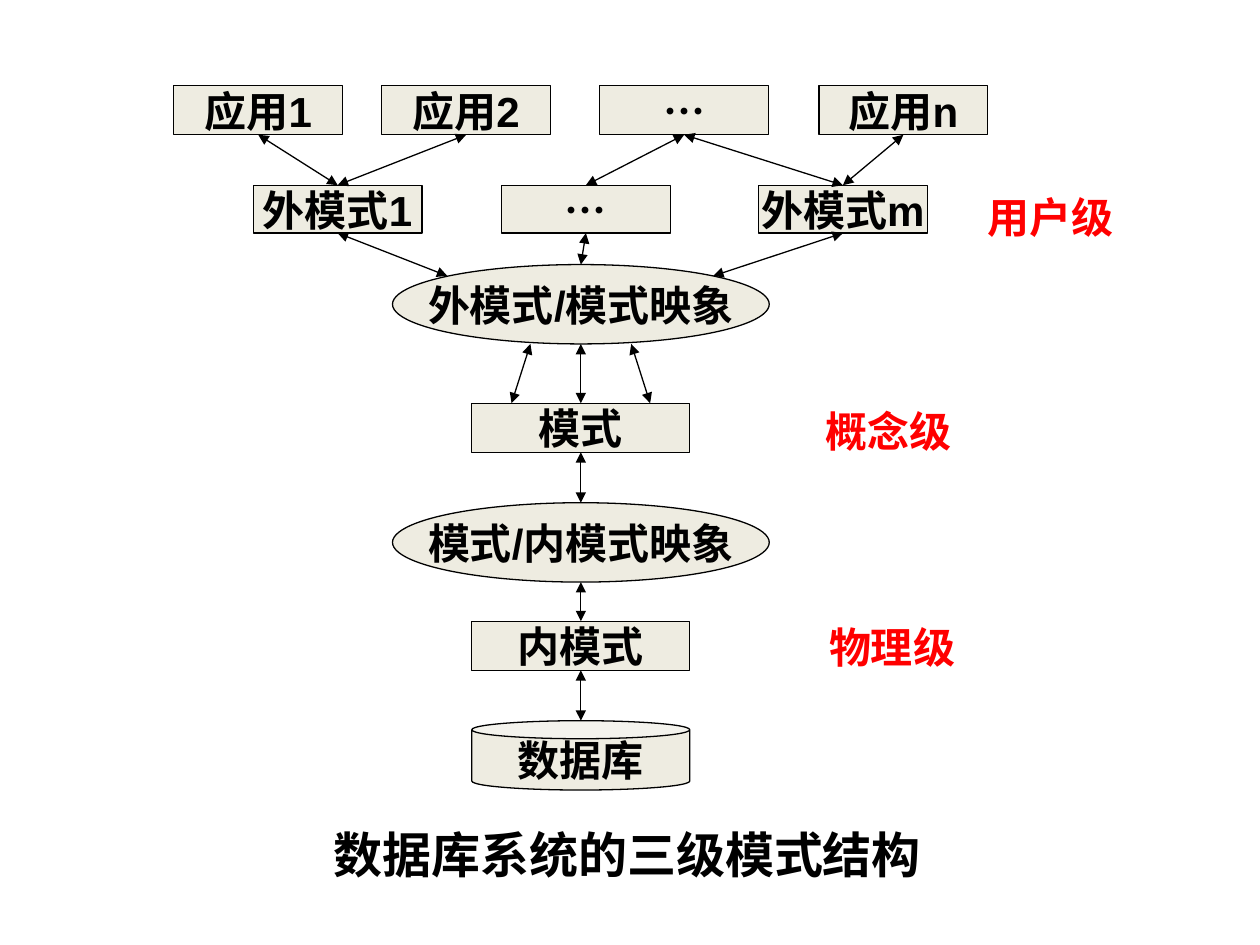
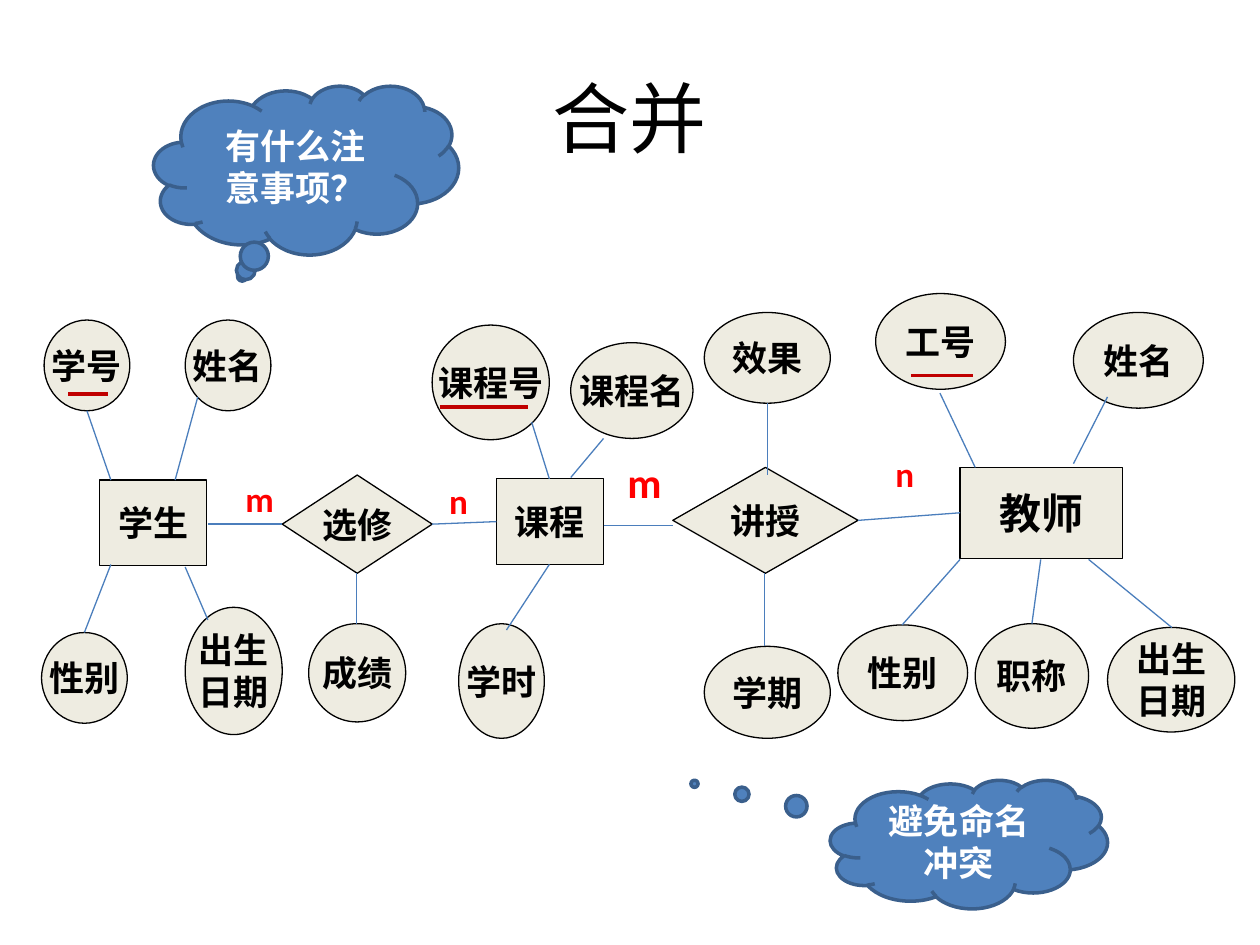
from dataclasses import dataclass
from typing import NamedTuple

from lxml.etree import SubElement
from pptx import Presentation
from pptx.dml.color import RGBColor
from pptx.enum.shapes import MSO_CONNECTOR, MSO_SHAPE as Shp
from pptx.enum.text import MSO_ANCHOR as Anchor, PP_ALIGN as Align
from pptx.oxml.ns import qn
from pptx.slide import Slide
from pptx.util import Inches, Pt


@dataclass(frozen=True)
class Theme:
    ink: str = "000000"
    paper: str = "EEECE1"
    red: str = "FF0000"
    key: str = "C00000"
    link: str = "4B7EBC"
    cloud: str = "4F81BD"
    cloud_edge: str = "3A5F8C"
    white: str = "FFFFFF"
    latin: str = "Arial"
    body: str = "Calibri"
    cjk: str = "Noto Sans CJK SC"
    title: int = 44
    caption: int = 28
    large: int = 24
    small: int = 20
    hairline: float = 0.75


T = Theme()


class Point(NamedTuple):
    x: float
    y: float


@dataclass(frozen=True)
class Node:
    text: str
    x: float
    y: float
    w: float
    h: float
    shape: Shp = Shp.RECTANGLE
    size: int = T.small

    @property
    def top(self) -> Point:
        return Point(self.x + self.w / 2, self.y)

    @property
    def bottom(self) -> Point:
        return Point(self.x + self.w / 2, self.y + self.h)


class Label(NamedTuple):
    text: str
    x: float
    y: float
    w: float
    h: float
    size: int
    face: str


class Cloud(NamedTuple):
    text: str
    x: float
    y: float
    w: float
    h: float
    tail: Point


class Link(NamedTuple):
    start: Point
    end: Point
    color: str = T.link
    width: float = T.hairline
    arrows: bool = False


def rgb(value: str) -> RGBColor:
    return RGBColor.from_string(value)


def box(item) -> list:
    return [Inches(v) for v in (item.x, item.y, item.w, item.h)]


def write(tf, text: str, size: int, color: str, face: str = T.latin,
          bold: bool = True, wrap: bool = True, align: Align = Align.CENTER) -> None:
    """Fill a text frame, one paragraph per line of text."""
    tf.word_wrap, tf.vertical_anchor = wrap, Anchor.MIDDLE
    for i, line in enumerate(text.split("\n")):
        p = tf.add_paragraph() if i else tf.paragraphs[0]
        p.alignment = align
        r = p.add_run()
        r.text = line
        for name, value in {"size": Pt(size), "bold": bold, "name": face}.items():
            setattr(r.font, name, value)
        r.font.color.rgb = rgb(color)
        SubElement(r._r.get_or_add_rPr(), qn("a:ea"), typeface=T.cjk)


def paint(sp, fill: str, edge: str, width: float) -> None:
    sp.shadow.inherit = False
    sp.fill.solid()
    sp.fill.fore_color.rgb = rgb(fill)
    sp.line.color.rgb = rgb(edge)
    sp.line.width = Pt(width)


def add_node(s: Slide, node: Node) -> None:
    sp = s.shapes.add_shape(node.shape, *box(node))
    if node.shape == Shp.CAN:
        sp.adjustments[0] = 0.26
    paint(sp, T.paper, T.ink, T.hairline)
    face = T.cjk if node.text == "…" else T.latin
    write(sp.text_frame, node.text, node.size, T.ink, face, wrap=False)


def add_label(s: Slide, label: Label) -> None:
    sp = s.shapes.add_textbox(*box(label))
    write(sp.text_frame, label.text, label.size, T.red, label.face)


def add_cloud(s: Slide, cloud: Cloud) -> None:
    sp = s.shapes.add_shape(Shp.CLOUD_CALLOUT, *box(cloud))
    sp.adjustments[0], sp.adjustments[1] = cloud.tail
    paint(sp, T.cloud, T.cloud_edge, 2)
    write(sp.text_frame, cloud.text, T.small, T.white, T.body)


def add_link(s: Slide, link: Link) -> None:
    ends = [Inches(v) for v in (*link.start, *link.end)]
    c = s.shapes.add_connector(MSO_CONNECTOR.STRAIGHT, *ends)
    c.line.color.rgb = rgb(link.color)
    c.line.width = Pt(link.width)
    sp_pr = c.element.spPr
    if link.arrows:
        for end in ("a:headEnd", "a:tailEnd"):
            SubElement(sp_pr.find(qn("a:ln")), qn(end), type="triangle")
    SubElement(sp_pr, qn("a:effectLst"))


def build_schema_levels(prs) -> None:
    s = prs.slides.add_slide(prs.slide_layouts[6])

    def row(texts: list, lefts: list, y: float, h: float) -> list:
        return [Node(t, x, y, 1.34, h, size=T.large) for t, x in zip(texts, lefts)]

    def middle(text: str, y: float, w: float, h: float, shape: Shp = Shp.RECTANGLE) -> Node:
        return Node(text, 4.61 - w / 2, y, w, h, shape, T.large)

    apps = row(["应用1", "应用2", "…", "应用n"], [1.38, 3.03, 4.76, 6.5], 0.68, 0.39)
    views = row(["外模式1", "…", "外模式m"], [2.01, 3.98, 6.02], 1.47, 0.38)
    stack = [
        middle("外模式/模式映象", 2.1, 2.99, 0.63, Shp.OVAL),
        middle("模式", 3.2, 1.73, 0.39),
        middle("模式/内模式映象", 3.99, 2.99, 0.63, Shp.OVAL),
        middle("内模式", 4.93, 1.73, 0.39),
        middle("数据库", 5.72, 1.73, 0.55, Shp.CAN),
    ]
    for node in apps + views + stack:
        add_node(s, node)

    mapping, schema = stack[:2]
    pairs = [(apps[a].bottom, views[v].top)
             for a, v in ((0, 0), (1, 0), (2, 1), (2, 2), (3, 2))]
    pairs += zip([v.bottom for v in views],
                 [Point(3.55, 2.19), mapping.top, Point(5.66, 2.19)])
    pairs += [(upper.bottom, lower.top) for upper, lower in zip(stack, stack[1:])]
    pairs += [(Point(mapping.bottom.x + side * 0.4, mapping.bottom.y),
               Point(schema.top.x + side * 0.55, schema.top.y)) for side in (-1, 1)]
    for start, end in pairs:
        add_link(s, Link(start, end, T.ink, arrows=True))

    for text, x, y in (("用户级", 7.71, 1.47), ("概念级", 6.42, 3.17), ("物理级", 6.45, 4.88)):
        add_label(s, Label(text, x, y, 1.26, 0.5, T.large, T.latin))

    caption = s.shapes.add_textbox(Inches(0), Inches(6.46), Inches(9.14), Inches(0.63))
    write(caption.text_frame, "数据库系统的三级模式结构", T.caption, T.ink, align=Align.LEFT)
    p_pr = caption.text_frame.paragraphs[0]._p.get_or_add_pPr()
    p_pr.set("marL", str(Inches(2.55)))


def build_merged_er(prs) -> None:
    s = prs.slides.add_slide(prs.slide_layouts[5])
    title = s.shapes.title
    place = {"left": 0.5, "top": 0.3, "width": 9, "height": 1.25}
    for name, value in place.items():
        setattr(title, name, Inches(value))
    write(title.text_frame, "合并", T.title, T.ink, T.body, bold=False)

    entities = [
        Node("学生", 0.79, 3.81, 0.85, 0.68, Shp.FLOWCHART_PROCESS),
        Node("课程", 3.94, 3.8, 0.85, 0.68, Shp.FLOWCHART_PROCESS),
        Node("教师", 7.62, 3.71, 1.29, 0.72, Shp.FLOWCHART_PROCESS, T.large),
    ]
    relations = [
        Node("选修", 2.24, 3.77, 1.19, 0.78, Shp.DIAMOND),
        Node("讲授", 5.34, 3.71, 1.47, 0.84, Shp.DIAMOND),
    ]
    attributes = [Node(*values, Shp.OVAL) for values in (
        ("学号", 0.35, 2.54, 0.68, 0.72),
        ("姓名", 1.47, 2.54, 0.68, 0.72),
        ("性别", 0.33, 5.02, 0.68, 0.72),
        ("出生\n日期", 1.47, 4.82, 0.77, 1.01),
        ("成绩", 2.45, 4.95, 0.77, 0.78),
        ("课程号", 3.43, 2.58, 0.93, 0.91),
        ("课程名", 4.53, 2.72, 0.97, 0.76),
        ("学时", 3.64, 4.95, 0.68, 0.91),
        ("效果", 5.59, 2.48, 1, 0.72),
        ("学期", 5.59, 5.13, 1, 0.73),
        ("工号", 6.95, 2.33, 1.03, 0.76),
        ("姓名", 8.52, 2.48, 1.03, 0.76),
        ("性别", 6.65, 4.96, 1.03, 0.76),
        ("职称", 7.74, 4.95, 0.9, 0.83),
        ("出生\n日期", 8.79, 4.98, 1.01, 0.83),
    )]
    for node in entities + relations + attributes:
        add_node(s, node)

    attribute_links = [
        (0.69, 3.26, 0.88, 3.81), (1.39, 3.81, 1.57, 3.15),
        (0.88, 4.48, 0.67, 5.02), (1.47, 4.5, 1.65, 4.92),
        (2.83, 4.55, 2.83, 4.95), (4.36, 3.8, 4.22, 3.35),
        (4.53, 3.79, 4.79, 3.48), (4.36, 4.48, 4.02, 5),
        (6.09, 3.2, 6.09, 3.77), (6.07, 4.55, 6.07, 5.13),
        (7.46, 3.12, 7.74, 3.71), (8.52, 3.68, 8.79, 3.15),
        (7.62, 4.44, 7.16, 4.96), (8.26, 4.44, 8.19, 4.95),
        (8.64, 4.44, 9.3, 4.98),
    ]
    relation_links = [
        (1.65, 4.16, 2.24, 4.16), (3.43, 4.16, 3.94, 4.14),
        (4.79, 4.17, 5.34, 4.17), (6.81, 4.13, 7.62, 4.07),
    ]
    for x1, y1, x2, y2 in attribute_links + relation_links:
        add_link(s, Link(Point(x1, y1), Point(x2, y2)))

    key_marks = [(0.54, 0.86, 3.13, 2.25), (3.49, 4.19, 3.23, 1.75), (7.23, 7.72, 2.98, 2.25)]
    for left, right, y, width in key_marks:
        add_link(s, Link(Point(left, y), Point(right, y), T.key, width))

    for label in (
        Label("m", 1.85, 3.68, 0.3, 0.55, T.small, T.body),
        Label("n", 3.43, 3.71, 0.42, 0.52, T.small, T.body),
        Label("m", 4.88, 3.54, 0.45, 0.56, T.large, T.body),
        Label("n", 6.97, 3.5, 0.42, 0.52, T.small, T.body),
    ):
        add_label(s, label)

    add_cloud(s, Cloud("有什么注意事项？", 1.22, 0.68, 2.42, 1.34, Point(-0.21, 0.63)))
    add_cloud(s, Cloud("避免命名冲突", 6.59, 6.19, 2.2, 1.02, Point(-0.99, -0.47)))


def main() -> None:
    prs = Presentation()
    prs.slide_width, prs.slide_height = Inches(10), Inches(7.5)
    build_schema_levels(prs)
    build_merged_er(prs)
    prs.save("out.pptx")


if __name__ == "__main__":
    main()
